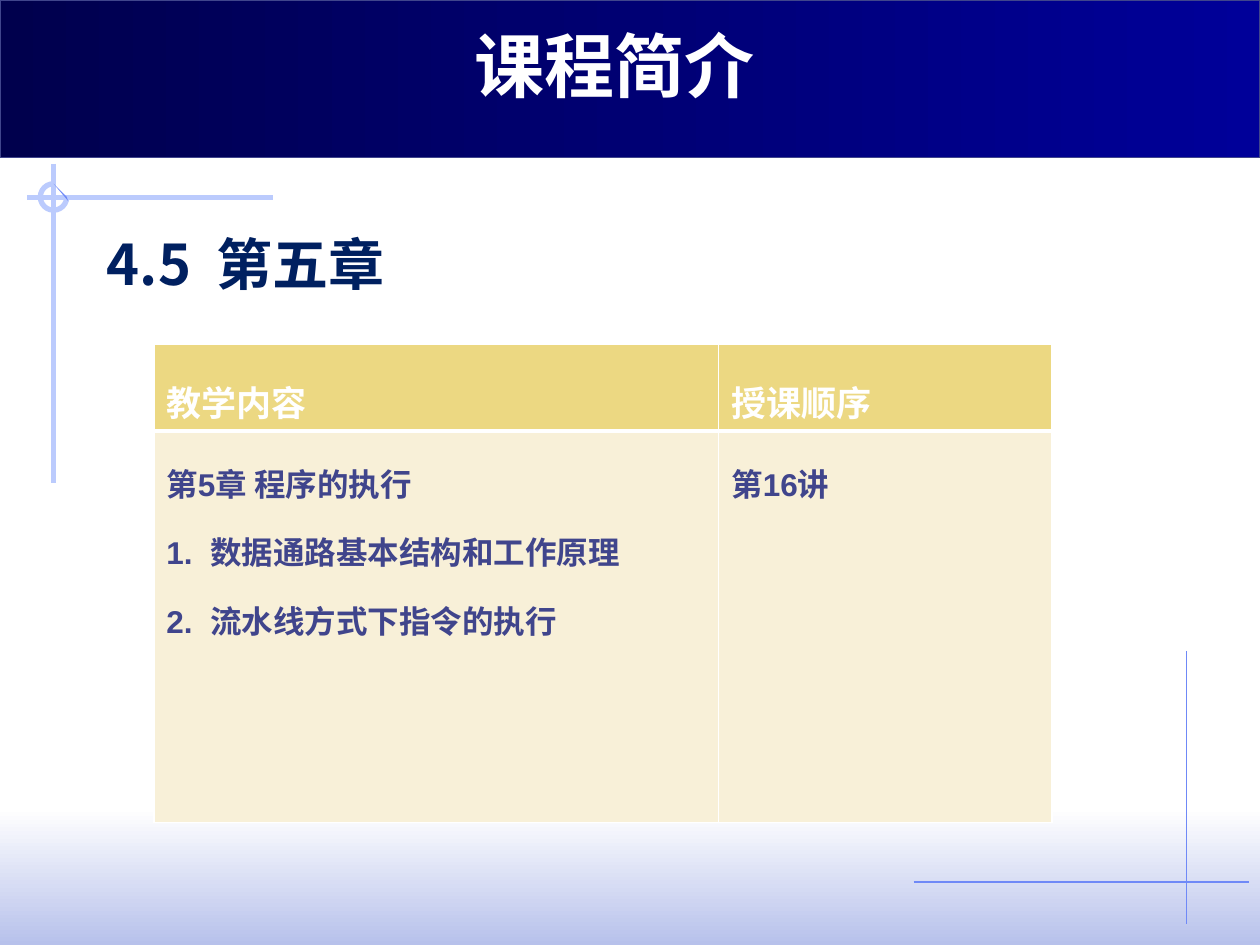
from typing import NamedTuple

from lxml.etree import SubElement
from pptx import Presentation
from pptx.dml.color import RGBColor
from pptx.enum.shapes import MSO_CONNECTOR as Connector, MSO_SHAPE as Preset
from pptx.enum.text import PP_ALIGN as Align
from pptx.oxml.ns import qn
from pptx.util import Inches, Pt

COLORS = {
    "white": "FFFFFF", "haze": "B7C1EB", "night": "00004D", "royal": "000099",
    "indigo": "40458C", "pale": "BBCBFD", "blue": "6F89F7", "navy": "002060",
    "gold": "ECD882", "cream": "F8F0D8",
}
COLUMNS, ROWS = 120, 90  # the slide grid
CELL = Inches(10) / COLUMNS
CJK, CJK_TITLE, LATIN = "Noto Sans CJK SC", "Noto Sans CJK JP", "Arial"


class Box(NamedTuple):
    left: float
    top: float
    width: float
    height: float


class Rule(NamedTuple):
    start: tuple[float, float]
    end: tuple[float, float]
    color: str
    points: float


class Band(NamedTuple):
    box: Box
    first: str
    last: str
    angle: int
    outline: str | None


class Style(NamedTuple):
    size: int
    color: str
    latin: str
    asian: str
    spacing: float
    align: Align = Align.LEFT


class Line(NamedTuple):
    text: str
    number: str = ""
    gap: float = 0  # extra points after the number


def grid(*steps: float) -> list[int]:
    return [round(step * CELL) for step in steps]


def rgb(name: str) -> RGBColor:
    return RGBColor.from_string(COLORS[name])


def draw_band(shapes, band: Band) -> None:
    shape = shapes.add_shape(Preset.RECTANGLE, *grid(*band.box))
    shape.shadow.inherit = False
    shape.fill.gradient()
    shape.fill.gradient_angle = band.angle
    for stop, color, position in zip(shape.fill.gradient_stops, (band.first, band.last), (0, 1)):
        stop.color.rgb = rgb(color)
        stop.position = position
    if band.outline:
        shape.line.color.rgb = rgb(band.outline)
        shape.line.width = Pt(0.75)
    else:
        shape.line.fill.background()


def draw_rule(shapes, rule: Rule) -> None:
    line = shapes.add_connector(Connector.STRAIGHT, *grid(*rule.start, *rule.end))
    line.line.color.rgb = rgb(rule.color)
    line.line.width = Pt(rule.points)
    SubElement(line._element.spPr, qn("a:effectLst"))


def draw_ring(shapes, box: Box) -> None:
    ring = shapes.add_shape(Preset.ARC, *grid(*box))
    ring.adjustments[0], ring.adjustments[1] = 0, 162  # three quarters, open at top right
    ring.shadow.inherit = False
    ring.fill.background()
    ring.line.color.rgb = rgb("pale")
    ring.line.width = Pt(3)
    # Sliver across the open quarter
    top, right, tip = ((box.left + box.width * x, box.top + box.height * y)
                       for x, y in ((0.5, 0), (1, 0.5), (1.05, 0.65)))
    outline = shapes.build_freeform(*grid(*top), scale=1.0)
    outline.add_line_segments([grid(*right), grid(*tip)], close=True)
    sliver = outline.convert_to_shape()
    sliver.shadow.inherit = False
    sliver.fill.solid()
    sliver.fill.fore_color.rgb = rgb("blue")
    sliver.line.fill.background()


def write(frame, lines: list[Line], style: Style) -> None:
    frame.word_wrap = True
    for index, line in enumerate(lines):
        paragraph = frame.add_paragraph() if index else frame.paragraphs[0]
        paragraph.line_spacing = style.spacing
        paragraph.alignment = style.align
        pieces = [(line.number, 0), (" ", line.gap)] if line.number else []
        for text, gap in pieces + [(line.text, 0)]:
            run = paragraph.add_run()
            run.text = text
            formats = {"size": Pt(style.size), "bold": True, "name": style.latin}
            for attribute, value in formats.items():
                setattr(run.font, attribute, value)
            run.font.color.rgb = rgb(style.color)
            properties = run._r.get_or_add_rPr()
            SubElement(properties, qn("a:ea"), typeface=style.asian)
            if gap:
                properties.set("spc", str(round(gap * 100)))


def draw_text(shapes, box: Box, lines: list[Line], style: Style) -> None:
    write(shapes.add_textbox(*grid(*box)).text_frame, lines, style)


def set_borders(cell, bottom: float) -> None:
    properties = cell._tc.get_or_add_tcPr()
    for index, (side, points) in enumerate({"L": 1, "R": 1, "T": 1, "B": bottom}.items()):
        edge = SubElement(properties, qn(f"a:ln{side}"), w=str(Pt(points)))
        fill = SubElement(edge, qn("a:solidFill"))
        SubElement(fill, qn("a:srgbClr"), val=COLORS["white"])
        properties.remove(edge)
        properties.insert(index, edge)  # borders come before the fill


def draw_schedule(shapes, box: Box, widths, heights, rows) -> None:
    table = shapes.add_table(len(heights), len(widths), *grid(*box)).table
    for column, width in zip(table.columns, grid(*widths)):
        column.width = width
    for row, height in zip(table.rows, grid(*heights)):
        row.height = height
    looks = [
        ("gold", 3, Style(20, "white", LATIN, CJK, 1.5)),
        ("cream", 1, Style(18, "indigo", LATIN, CJK, 1.5)),
    ]
    for row, contents, (fill, bottom, style) in zip(table.rows, rows, looks):
        for cell, lines in zip(row.cells, contents):
            cell.fill.solid()
            cell.fill.fore_color.rgb = rgb(fill)
            set_borders(cell, bottom)
            write(cell.text_frame, lines, style)


BANDS = [
    Band(Box(0, 77, COLUMNS, 13), "white", "haze", 270, None),
    Band(Box(0, 0, COLUMNS, 15), "night", "royal", 0, "indigo"),
]
RULES = [
    Rule((113, 62), (113, 88), "blue", 0.75),
    Rule((87, 84), (119, 84), "blue", 0.75),
    Rule((26, 18.8), (2.6, 18.8), "pale", 3),
    Rule((5.1, 15.6), (5.1, 46), "pale", 3),
]
SCHEDULE = [
    [[Line("教学内容")], [Line("授课顺序")]],
    [[Line("第5章 程序的执行"),
      Line("数据通路基本结构和工作原理", "1.", 5),
      Line("流水线方式下指令的执行", "2.", 5)],
     [Line("第16讲")]],
]


def main() -> None:
    deck = Presentation()
    deck.slide_width, deck.slide_height = grid(COLUMNS, ROWS)
    shapes = deck.slides.add_slide(deck.slide_layouts[6]).shapes

    # Background bands and crosshair lines
    for band in BANDS:
        draw_band(shapes, band)
    for rule in RULES:
        draw_rule(shapes, rule)
    draw_ring(shapes, Box(3.84, 17.5, 2.52, 2.52))

    # Title and chapter heading
    draw_text(shapes, Box(10.8, 2.5, 95.4, 9.2), [Line("课程简介")],
              Style(40, "white", CJK_TITLE, CJK_TITLE, 0.9, Align.CENTER))
    draw_text(shapes, Box(9, 19.4, 99, 17), [Line("第五章", "4.5", 7)],
              Style(32, "navy", CJK, CJK, 1.3))

    # Teaching schedule
    draw_schedule(shapes, Box(14.65, 32.75, 85.5, 45.6), (53.8, 31.75), (8.3, 37.3), SCHEDULE)
    deck.save("out.pptx")


if __name__ == "__main__":
    main()
